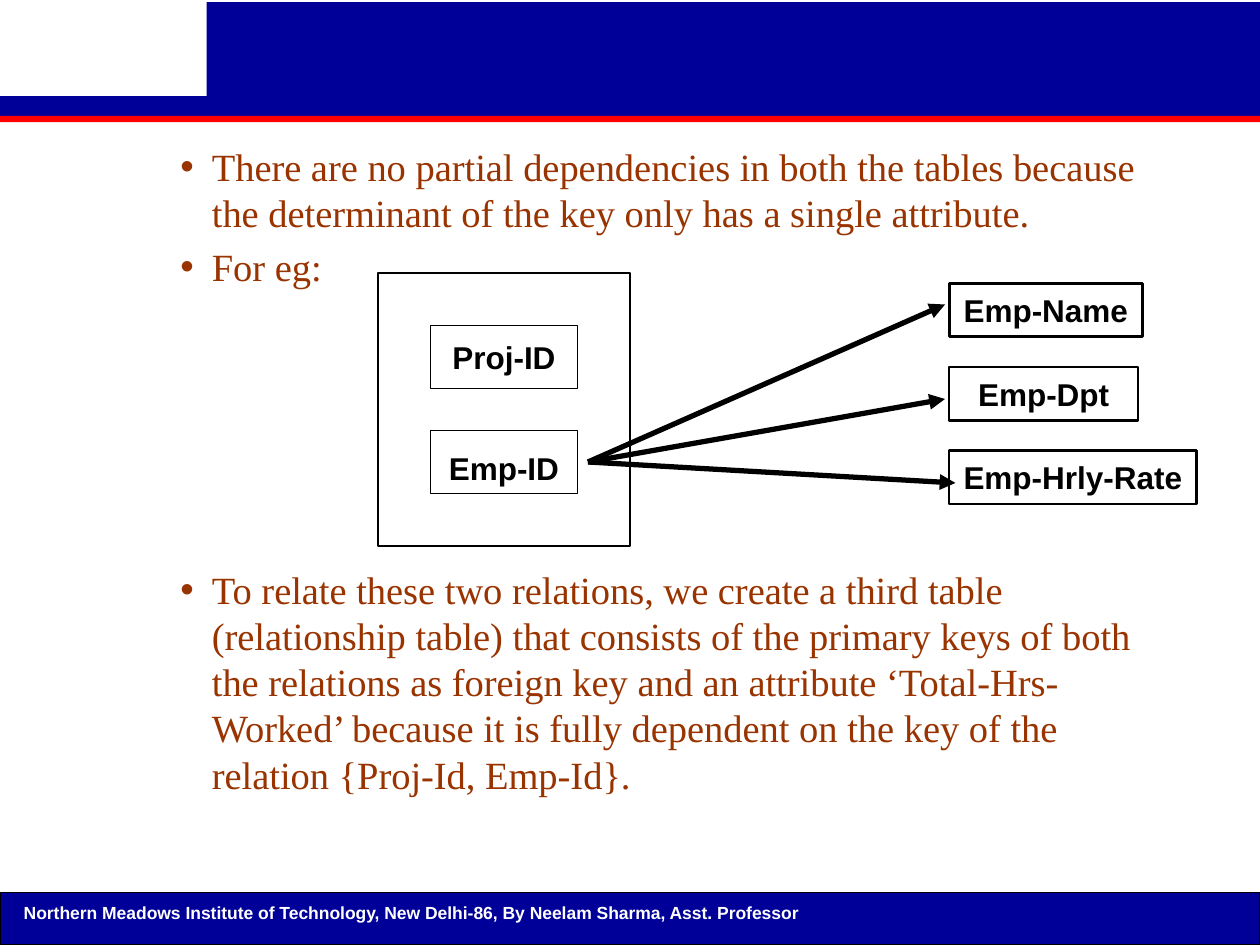
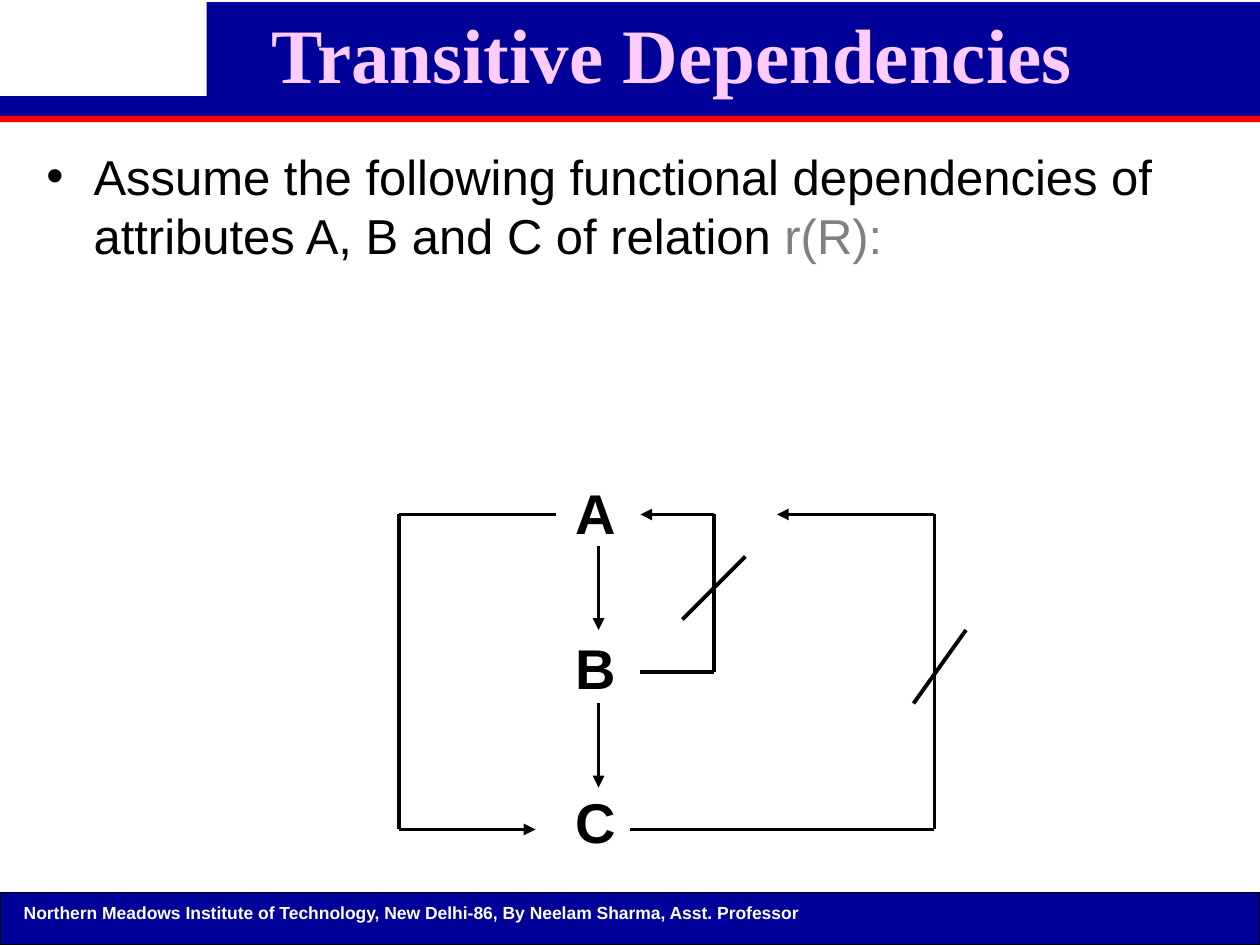
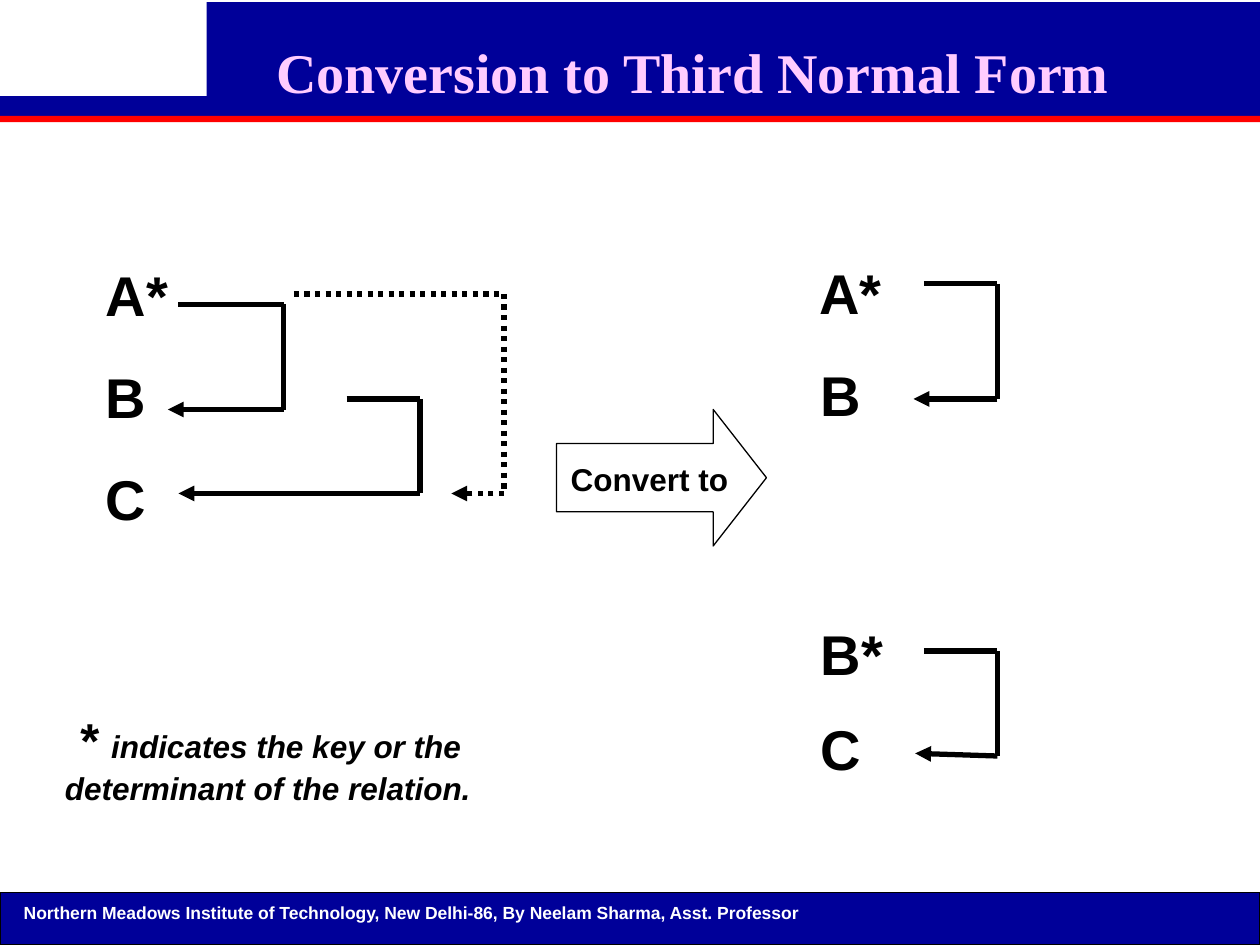
from itertools import pairwise
from typing import NamedTuple, Optional

from pptx import Presentation
from pptx.dml.color import RGBColor
from pptx.enum.dml import MSO_LINE
from pptx.enum.shapes import MSO_CONNECTOR, MSO_SHAPE
from pptx.enum.text import MSO_ANCHOR, MSO_AUTO_SIZE, PP_ALIGN
from pptx.oxml.ns import qn
from pptx.util import Pt

COLOURS = {
    "navy": "000099",
    "red": "FF0000",
    "pink": "FFCCFF",
    "brown": "993300",
    "grey": "808080",
    "black": "000000",
    "white": "FFFFFF",
}
SANS, SERIF = "Arial", "Times New Roman"
TITLE_ONLY, BLANK = 5, 6
FOOTER = ("Northern Meadows Institute of Technology, New Delhi-86, "
          "By Neelam Sharma, Asst. Professor")


class Frame(NamedTuple):
    left: float
    top: float
    width: float
    height: float


class Span(NamedTuple):
    text: str
    size: float
    font: str = SANS
    colour: str = "black"
    bold: bool = False
    italic: bool = False


class Bullet(NamedTuple):
    spans: list[Span]
    space_before: float = 0


class Box(NamedTuple):
    frame: Frame
    fill: Optional[str] = None
    line: Optional[str] = "black"
    weight: float = 0.75
    label: str = ""
    top_inset: float = 3.6
    preset: MSO_SHAPE = MSO_SHAPE.RECTANGLE


class Letter(NamedTuple):
    text: str
    left: float
    top: float


class Route(NamedTuple):
    points: list[tuple[float, float]]
    arrow: bool = True
    dotted: bool = False


BANDS = [
    Box(Frame(0, 55, 720, 11.5), "navy", None),
    Box(Frame(0, 66.2, 720, 3.6), "red", None),
    Box(Frame(118, 1.2, 602, 54.8), "navy", None),
    Box(Frame(0, 510, 720, 30), "navy"),
]


def colour(name: str) -> RGBColor:
    return RGBColor.from_string(COLOURS[name])


def lengths(frame: Frame) -> list[int]:
    return [Pt(value) for value in frame]


# Text
def add_spans(para, spans: list[Span]) -> None:
    for span in spans:
        run = para.add_run()
        run.text = span.text
        run.font.size = Pt(span.size)
        run.font.name = span.font
        run.font.bold = span.bold
        run.font.italic = span.italic
        run.font.color.rgb = colour(span.colour)


def add_text(page, frame: Frame, spans: list[Span], wrap: bool = True) -> None:
    box = page.shapes.add_textbox(*lengths(frame))
    box.text_frame.word_wrap = wrap
    add_spans(box.text_frame.paragraphs[0], spans)


def add_bullets(page, frame: Frame, bullets: list[Bullet], margin: float, hanging: float) -> None:
    text = page.shapes.add_textbox(*lengths(frame)).text_frame
    text.word_wrap = True
    for index, bullet in enumerate(bullets):
        para = text.add_paragraph() if index else text.paragraphs[0]
        para.space_before = Pt(bullet.space_before)
        properties = para._p.get_or_add_pPr()
        properties.set("marL", str(Pt(margin)))
        properties.set("indent", str(-Pt(hanging)))
        font = properties.makeelement(qn("a:buFont"), {"typeface": SANS})
        mark = properties.makeelement(qn("a:buChar"), {"char": "•"})
        properties.extend([font, mark])
        add_spans(para, bullet.spans)


def add_letters(page, letters: list[Letter]) -> None:
    for letter in letters:
        width = 37.4 if len(letter.text) == 1 else 50.4
        frame = Frame(letter.left, letter.top, width, 45.4)
        add_text(page, frame, [Span(letter.text, 32, bold=True)], wrap=False)


# Shapes and lines
def add_box(page, box: Box):
    shape = page.shapes.add_shape(box.preset, *lengths(box.frame))
    shape.shadow.inherit = False
    if box.fill:
        shape.fill.solid()
        shape.fill.fore_color.rgb = colour(box.fill)
    else:
        shape.fill.background()
    if box.line:
        shape.line.color.rgb = colour(box.line)
        shape.line.width = Pt(box.weight)
    else:
        shape.line.fill.background()
    if box.label:
        text = shape.text_frame
        text.word_wrap = False
        text.margin_top = Pt(box.top_inset)
        text.vertical_anchor = MSO_ANCHOR.MIDDLE
        text.paragraphs[0].alignment = PP_ALIGN.CENTER
        add_spans(text.paragraphs[0], [Span(box.label, 18, bold=True)])
    return shape


def add_route(page, route: Route, weight: float) -> None:
    for start, end in pairwise(route.points):
        line = page.shapes.add_connector(
            MSO_CONNECTOR.STRAIGHT, *(Pt(value) for value in start + end))
        line.line.color.rgb = colour("black")
        line.line.width = Pt(weight)
        if route.dotted:
            line.line.dash_style = MSO_LINE.ROUND_DOT
        if route.arrow and end == route.points[-1]:
            outline = line.line._get_or_add_ln()
            outline.append(outline.makeelement(qn("a:tailEnd"), {"type": "triangle"}))
        properties = line._element.spPr
        properties.append(properties.makeelement(qn("a:effectLst"), {}))


# Page with the shared bands, footer and title style
def add_page(deck, title: str = "", frame: Optional[Frame] = None, size: float = 44):
    page = deck.slides.add_slide(deck.slide_layouts[TITLE_ONLY if title else BLANK])
    for band in BANDS:
        add_box(page, band)
    add_text(page, Frame(6.5, 512, 690, 19.4), [Span(FOOTER, 10, colour="white", bold=True)])
    if title:
        holder = page.shapes.title
        holder.left, holder.top, holder.width, holder.height = lengths(frame)
        # Bring the title in front of the bands
        page.shapes.element.append(holder.element)
        text = holder.text_frame
        text.auto_size = MSO_AUTO_SIZE.NONE
        text.word_wrap = True
        text.vertical_anchor = MSO_ANCHOR.TOP
        para = text.paragraphs[0]
        para.alignment = PP_ALIGN.CENTER
        add_spans(para, [Span(title, size, SERIF, "pink", bold=True)])
    return page


def build_partial_dependencies(deck) -> None:
    page = add_page(deck)
    statements = [
        ("There are no partial dependencies in both the tables because the determinant "
         "of the key only has a single attribute.", 0),
        ("For eg:", 4.4),
        ("To relate these two relations, we create a third table (relationship table) "
         "that consists of the primary keys of both the relations as foreign key and an "
         "attribute ‘Total-Hrs-Worked’ because it is fully dependent on the key of the "
         "relation {Proj-Id, Emp-Id}.", 158.2),
    ]
    bullets = [Bullet([Span(text, 22, SERIF, "brown")], gap) for text, gap in statements]
    add_bullets(page, Frame(24, 78, 648, 414), bullets, margin=90, hanging=18)

    # Composite key
    add_box(page, Box(Frame(216, 156, 144, 156)))
    add_box(page, Box(Frame(246, 186, 84, 36), label="Proj-ID"))
    add_box(page, Box(Frame(246, 246, 84, 36), label="Emp-ID", top_inset=10))

    # Attributes that depend on Emp-ID
    for end in [(540, 174), (540, 228), (546, 276)]:
        add_route(page, Route([(336, 264), end]), 3)
    attributes = [("Emp-Name", 110.4), ("Emp-Dpt", 108), ("Emp-Hrly-Rate", 141.4)]
    for row, (label, width) in enumerate(attributes):
        add_box(page, Box(Frame(542.4, 162 + 47.8 * row, width, 30.4), weight=1.5, label=label))


def build_transitive_dependencies(deck) -> None:
    page = add_page(deck, "Transitive Dependencies", Frame(60, 0, 648, 90))
    spans = [
        Span("Assume the following functional dependencies of attributes A, B and C "
             "of relation ", 28),
        Span("r(R):", 28, colour="grey"),
    ]
    add_bullets(page, Frame(19.4, 80, 685.4, 411), [Bullet(spans)], margin=27, hanging=27)
    add_letters(page, [Letter(text, 322, 270 + 88.2 * row) for row, text in enumerate("ABC")])
    routes = [
        Route([(342, 312), (342, 360)]),
        Route([(342, 402), (342, 450)]),
        Route([(360, 474), (534, 474), (534, 294), (444, 294)]),
        Route([(522, 402), (552, 360)], arrow=False),
        Route([(366, 384), (408, 384), (408, 294), (366, 294)]),
        Route([(390, 354), (426, 318)], arrow=False),
        Route([(318, 294), (228, 294), (228, 474), (306, 474)]),
    ]
    for route in routes:
        add_route(page, route, 2.25)


def build_third_normal_form(deck) -> None:
    page = add_page(deck, "Conversion to Third Normal Form", Frame(72, 18, 648, 90), 32)
    # Relation before, then the two relations after
    add_letters(page, [Letter(text, 53.4, 145.4 + 58.3 * row)
                       for row, text in enumerate(["A*", "B", "C"])])
    add_letters(page, [Letter("A*", 461, 144), Letter("B", 462, 202.3),
                       Letter("B*", 462, 350.6), Letter("C", 462, 404.6)])
    routes = [
        Route([(168, 168), (288, 168), (288, 282), (258, 282)], dotted=True),
        Route([(102, 174), (162, 174), (162, 234), (96, 234)]),
        Route([(198, 228), (240, 228), (240, 282), (102, 282)]),
        Route([(528, 162), (570, 162), (570, 228), (522, 228)]),
        Route([(528, 372), (570, 372), (570, 432), (523, 430.5)]),
    ]
    for route in routes:
        add_route(page, route, 3)

    # Conversion arrow and key note
    arrow = add_box(page, Box(Frame(318, 234, 120, 78), preset=MSO_SHAPE.RIGHT_ARROW))
    arrow.adjustments[0] = 0.5
    arrow.adjustments[1] = 0.39
    add_text(page, Frame(319, 259.2, 104.4, 28.8), [Span("Convert to", 18, bold=True)], wrap=False)
    add_text(page, Frame(30, 402, 336, 63.4), [
        Span(" * ", 28, bold=True, italic=True),
        Span("indicates the key or the determinant of the relation.", 18, bold=True, italic=True),
    ])


def main() -> None:
    deck = Presentation()
    deck.slide_width, deck.slide_height = Pt(720), Pt(540)
    build_partial_dependencies(deck)
    build_transitive_dependencies(deck)
    build_third_normal_form(deck)
    deck.save("out.pptx")


if __name__ == "__main__":
    main()
